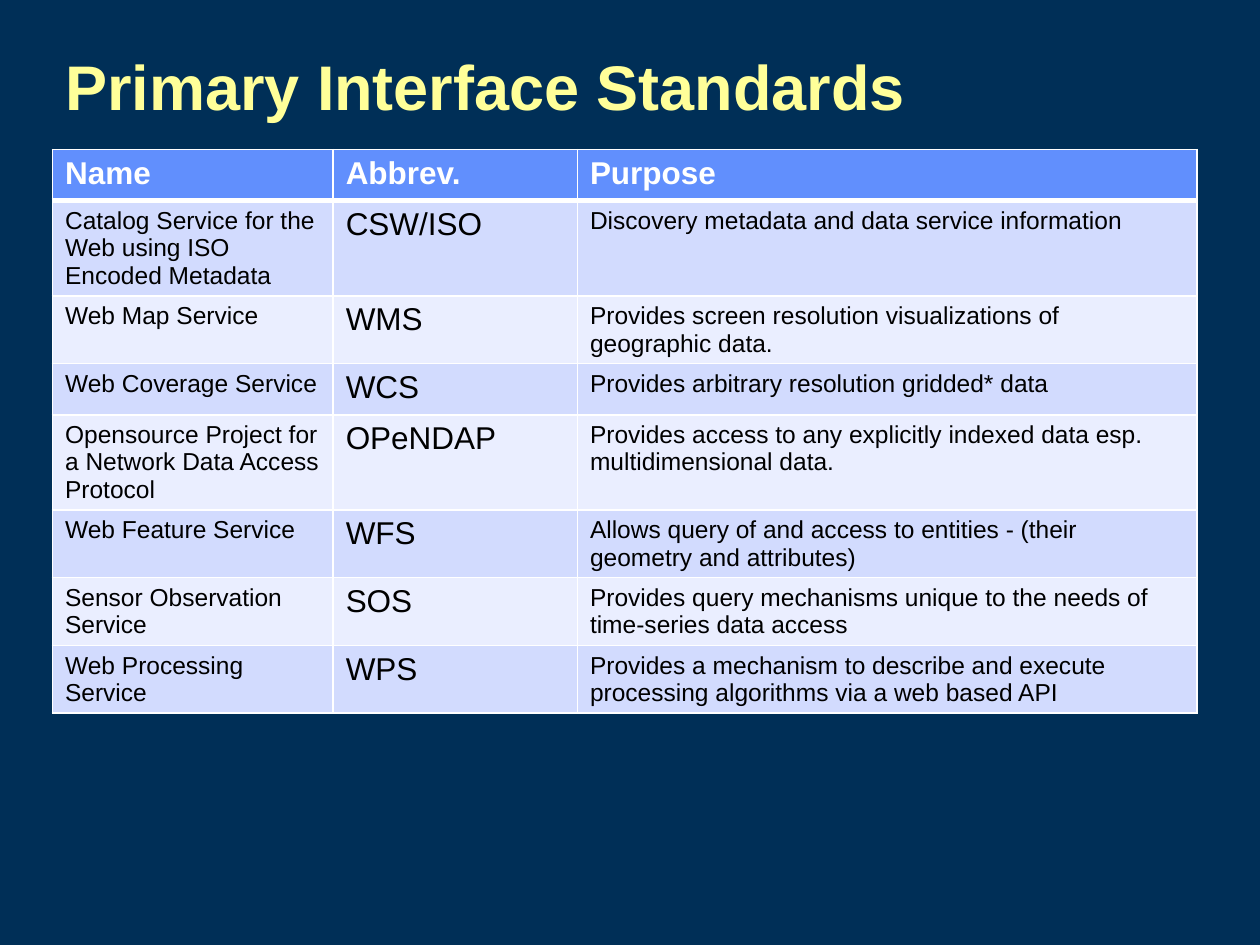
from lxml import etree
from pptx import Presentation
from pptx import util as u
from pptx.dml.color import RGBColor
from pptx.enum import text
from pptx.oxml import ns

NAVY = RGBColor(0x00, 0x2F, 0x57)
YELLOW = RGBColor(0xFF, 0xFF, 0x99)
WHITE = RGBColor(0xFF, 0xFF, 0xFF)
BLACK = RGBColor(0x00, 0x00, 0x00)
HEADER_BLUE = RGBColor(0x61, 0x8F, 0xFD)
BANDS = (RGBColor(0xD2, 0xDB, 0xFE), RGBColor(0xEA, 0xEE, 0xFF))

FONT = "Arial"
COLUMN_WIDTHS = (160.4, 139.6, 354)
ROW_HEIGHT = 29.2
BODY_SIZES = (14, 18, 14)
HEADINGS = ("Name", "Abbrev.", "Purpose")
STANDARDS = (
    ("Catalog Service for the Web using ISO Encoded Metadata", "CSW/ISO",
     "Discovery metadata and data service information"),
    ("Web Map Service", "WMS",
     "Provides screen resolution visualizations of geographic data."),
    ("Web Coverage Service", "WCS",
     "Provides arbitrary resolution gridded* data"),
    ("Opensource Project for a Network Data Access Protocol", "OPeNDAP",
     "Provides access to any explicitly indexed data esp. multidimensional data."),
    ("Web Feature Service", "WFS",
     "Allows query of and access to entities - (their geometry and attributes)"),
    ("Sensor Observation Service", "SOS",
     "Provides query mechanisms unique to the needs of time-series data access"),
    ("Web Processing Service", "WPS",
     "Provides a mechanism to describe and execute processing algorithms via a web based API"),
)


def apply_format(target, values):
    """Set each named attribute of the target to its value."""
    for name, value in values.items():
        setattr(target, name, value)


def write_text(frame, words, size, color, bold):
    """Write one left-aligned paragraph into a text frame."""
    para = frame.paragraphs[0]
    para.alignment = text.PP_ALIGN.LEFT
    span = para.add_run()
    span.text = words
    apply_format(span.font, {"name": FONT, "size": u.Pt(size), "bold": bold})
    span.font.color.rgb = color


def add_borders(cell, widths):
    """Draw white cell borders, given a width in points for each side."""
    properties = cell._tc.get_or_add_tcPr()
    for side, width in widths.items():
        line = etree.SubElement(properties, ns.qn(f"a:ln{side}"), w=str(u.Pt(width)))
        fill = etree.SubElement(line, ns.qn("a:solidFill"))
        etree.SubElement(fill, ns.qn("a:srgbClr"), val=str(WHITE))


def place_title(page, left, top, width, height):
    """Place the slide title in the given box."""
    title = page.shapes.title
    apply_format(title, {"left": u.Pt(left), "top": u.Pt(top),
                         "width": u.Pt(width), "height": u.Pt(height)})
    apply_format(title.text_frame, {"word_wrap": True,
                                    "auto_size": text.MSO_AUTO_SIZE.NONE,
                                    "vertical_anchor": text.MSO_ANCHOR.MIDDLE})
    write_text(title.text_frame, "Primary Interface Standards", 36, YELLOW, True)


def place_table(page, left, top):
    """Place the table of standards with its corner at the given point."""
    rows = (HEADINGS, *STANDARDS)
    table = page.shapes.add_table(
        len(rows), len(HEADINGS), u.Pt(left), u.Pt(top),
        u.Pt(sum(COLUMN_WIDTHS)), u.Pt(ROW_HEIGHT * len(rows))).table
    for column, width in zip(table.columns, COLUMN_WIDTHS):
        column.width = u.Pt(width)
    for row_index, row in enumerate(rows):
        header = row_index == 0
        table.rows[row_index].height = u.Pt(ROW_HEIGHT)
        for column_index, words in enumerate(row):
            cell = table.cell(row_index, column_index)
            add_borders(cell, {"L": 1, "R": 1, "T": 3 if row_index == 1 else 1,
                               "B": 3 if header else 1})
            cell.fill.solid()
            cell.fill.fore_color.rgb = HEADER_BLUE if header else BANDS[(row_index - 1) % 2]
            write_text(cell.text_frame, words,
                       18 if header else BODY_SIZES[column_index],
                       WHITE if header else BLACK, header)


def main():
    """Build the slide and save the deck."""
    deck = Presentation()
    apply_format(deck, {"slide_width": u.Pt(720), "slide_height": u.Pt(540)})
    page = deck.slides.add_slide(deck.slide_layouts[5])
    page.background.fill.solid()
    page.background.fill.fore_color.rgb = NAVY
    place_title(page, 30, 12, 654, 73.5)
    place_table(page, 30, 85.5)
    deck.save("out.pptx")


if __name__ == "__main__":
    main()
